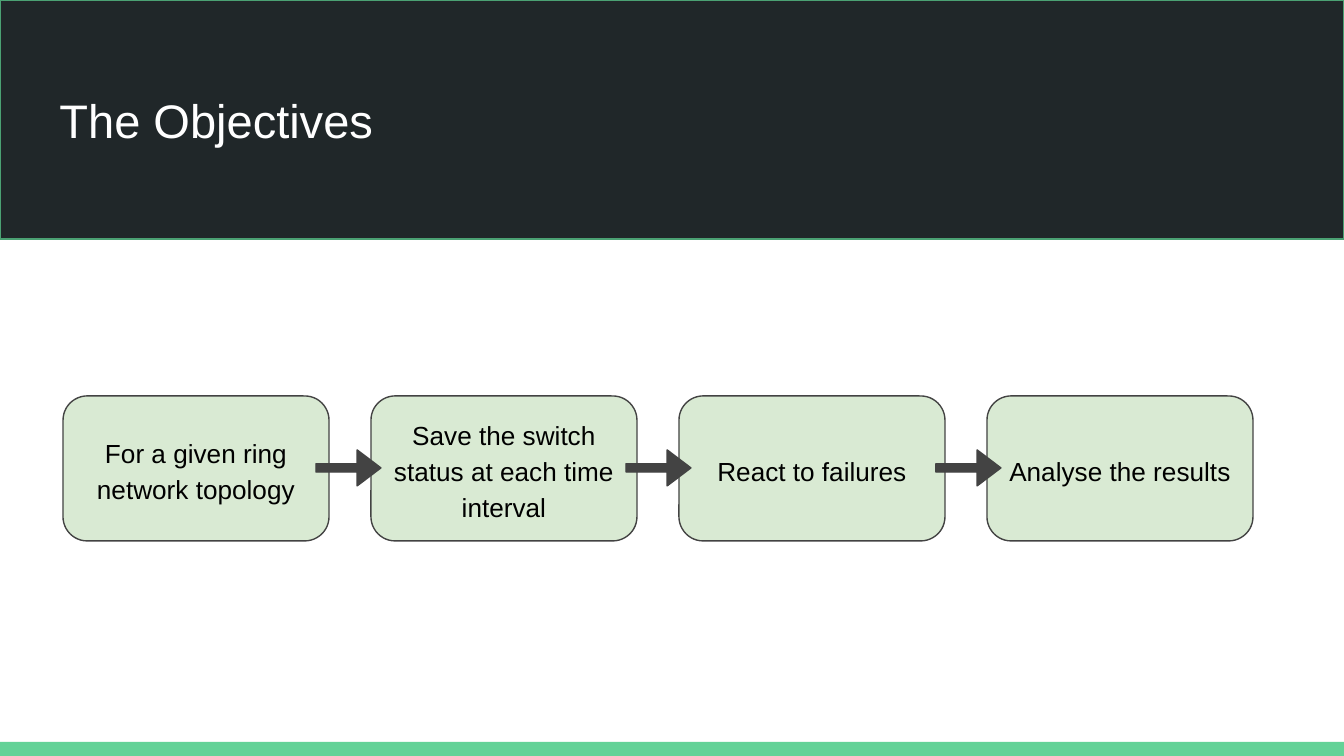
"""Build the objectives slide: a title band above a four-step process."""
from dataclasses import dataclass

from pptx import Presentation
from pptx import util as u
from pptx.dml.color import RGBColor
from pptx.enum import shapes, text

EMU_PER_PIXEL = 914400 / 134.4
SLIDE_WIDTH, SLIDE_HEIGHT = 1344, 756
FONT = "Arial"
COLORS = {
    "accent": "63D297",
    "band": "202729",
    "band_line": "4BA173",
    "step": "D9EAD3",
    "dark": "434343",
    "step_text": "000000",
    "title": "FFFFFF",
}
STEPS = (
    "For a given ring network topology",
    "Save the switch status at each time interval",
    "React to failures",
    "Analyse the results",
)
STEP_LEFT, STEP_PITCH = 63, 308
ARROW_LEFT, ARROW_PITCH = 316, 310


@dataclass(frozen=True)
class Block:
    left: int
    top: int
    width: int
    height: int
    fill: str
    line: str | None = None
    kind: shapes.MSO_SHAPE = shapes.MSO_SHAPE.RECTANGLE
    adjustments: tuple[float, ...] = ()
    label: str = ""


def pixels(value: int) -> u.Emu:
    return u.Emu(round(value * EMU_PER_PIXEL))


def color(name: str) -> RGBColor:
    return RGBColor.from_string(COLORS[name])


def write(shape, content: str, size: float, color_name: str, alignment) -> None:
    frame = shape.text_frame
    frame.text = content
    frame.word_wrap = True
    frame.auto_size = text.MSO_AUTO_SIZE.NONE
    frame.margin_left = frame.margin_right = u.Inches(0.1)
    frame.margin_top = frame.margin_bottom = u.Inches(0.1)
    paragraph = frame.paragraphs[0]
    paragraph.alignment = alignment
    font = paragraph.runs[0].font
    font.name = FONT
    font.size = u.Pt(size)
    font.color.rgb = color(color_name)


def draw(slide, block: Block) -> None:
    box = map(pixels, (block.left, block.top, block.width, block.height))
    shape = slide.shapes.add_shape(block.kind, *box)
    shape.shadow.inherit = False
    shape.fill.solid()
    shape.fill.fore_color.rgb = color(block.fill)
    if block.line:
        shape.line.color.rgb = color(block.line)
        shape.line.width = u.Pt(0.75)
    else:
        shape.line.fill.background()
    for index, value in enumerate(block.adjustments):
        shape.adjustments[index] = value
    if block.label:
        write(shape, block.label, 14, "step_text", text.PP_ALIGN.CENTER)
        shape.text_frame.vertical_anchor = text.MSO_ANCHOR.MIDDLE
        paragraph = shape.text_frame.paragraphs[0]
        paragraph.line_spacing = 1.15
        paragraph.space_before = paragraph.space_after = u.Pt(12)


def place_title(slide, content: str) -> None:
    title = slide.shapes.title
    title.left, title.top, title.width, title.height = map(pixels, (46, 78, 1252, 85))
    write(title, content, 25.2, "title", text.PP_ALIGN.LEFT)
    title.text_frame.vertical_anchor = text.MSO_ANCHOR.TOP
    slide.shapes._spTree.append(title._element)


def main() -> None:
    presentation = Presentation()
    presentation.slide_width = pixels(SLIDE_WIDTH)
    presentation.slide_height = pixels(SLIDE_HEIGHT)
    slide = presentation.slides.add_slide(presentation.slide_layouts[5])
    footer = Block(0, 742, SLIDE_WIDTH, 14, "accent")
    steps = [
        Block(STEP_LEFT + index * STEP_PITCH, 396, 266, 145, "step", "dark",
              shapes.MSO_SHAPE.ROUNDED_RECTANGLE, (0.167,), label)
        for index, label in enumerate(STEPS)
    ]
    arrows = [
        Block(ARROW_LEFT + index * ARROW_PITCH, 450, 65, 36, "dark", "dark",
              shapes.MSO_SHAPE.RIGHT_ARROW, (0.23, 0.66))
        for index in range(len(STEPS) - 1)
    ]
    band = Block(0, 0, SLIDE_WIDTH, 239, "band", "band_line")
    for block in (footer, *steps, *arrows, band):
        draw(slide, block)
    place_title(slide, "The Objectives")
    presentation.save("out.pptx")


main()
